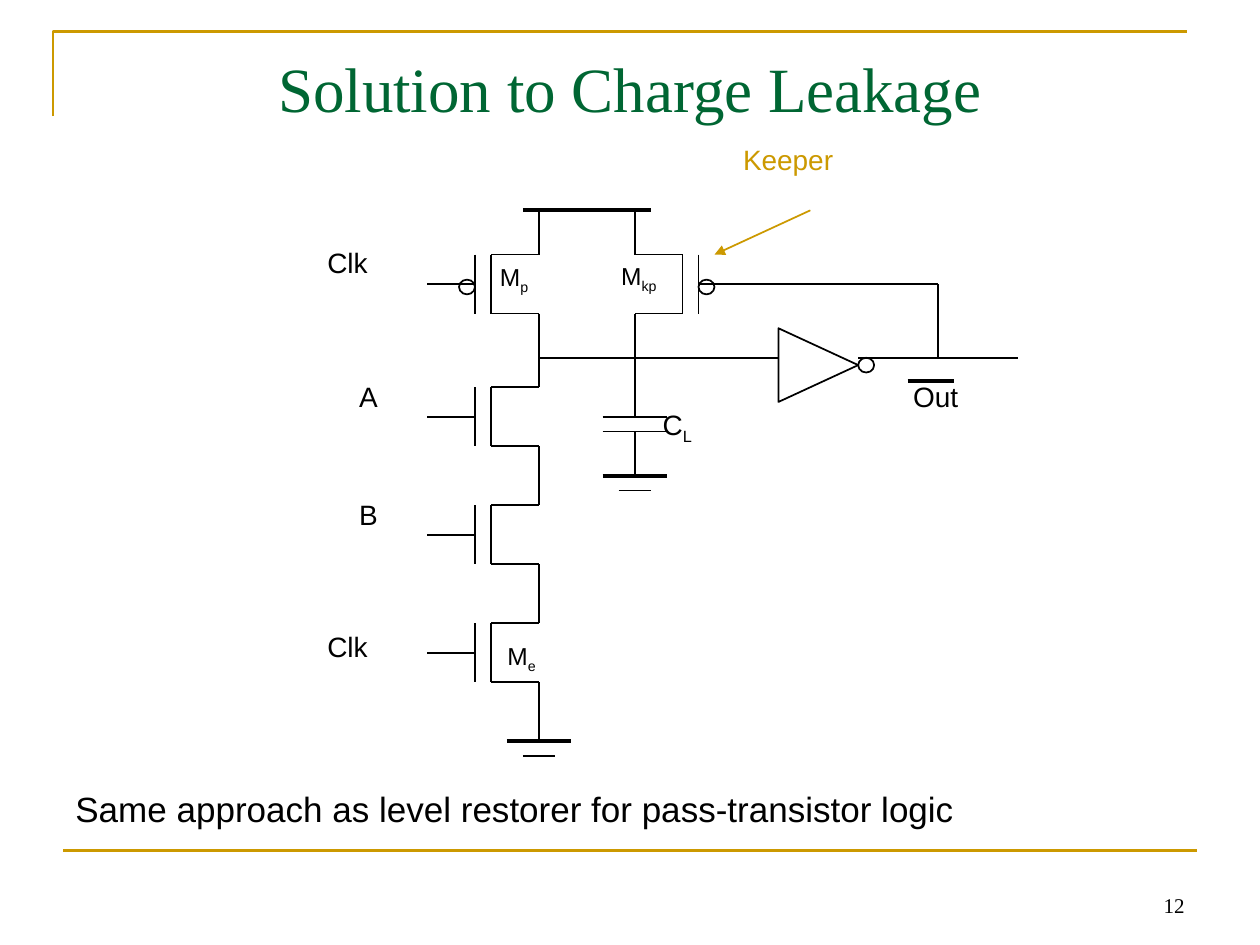
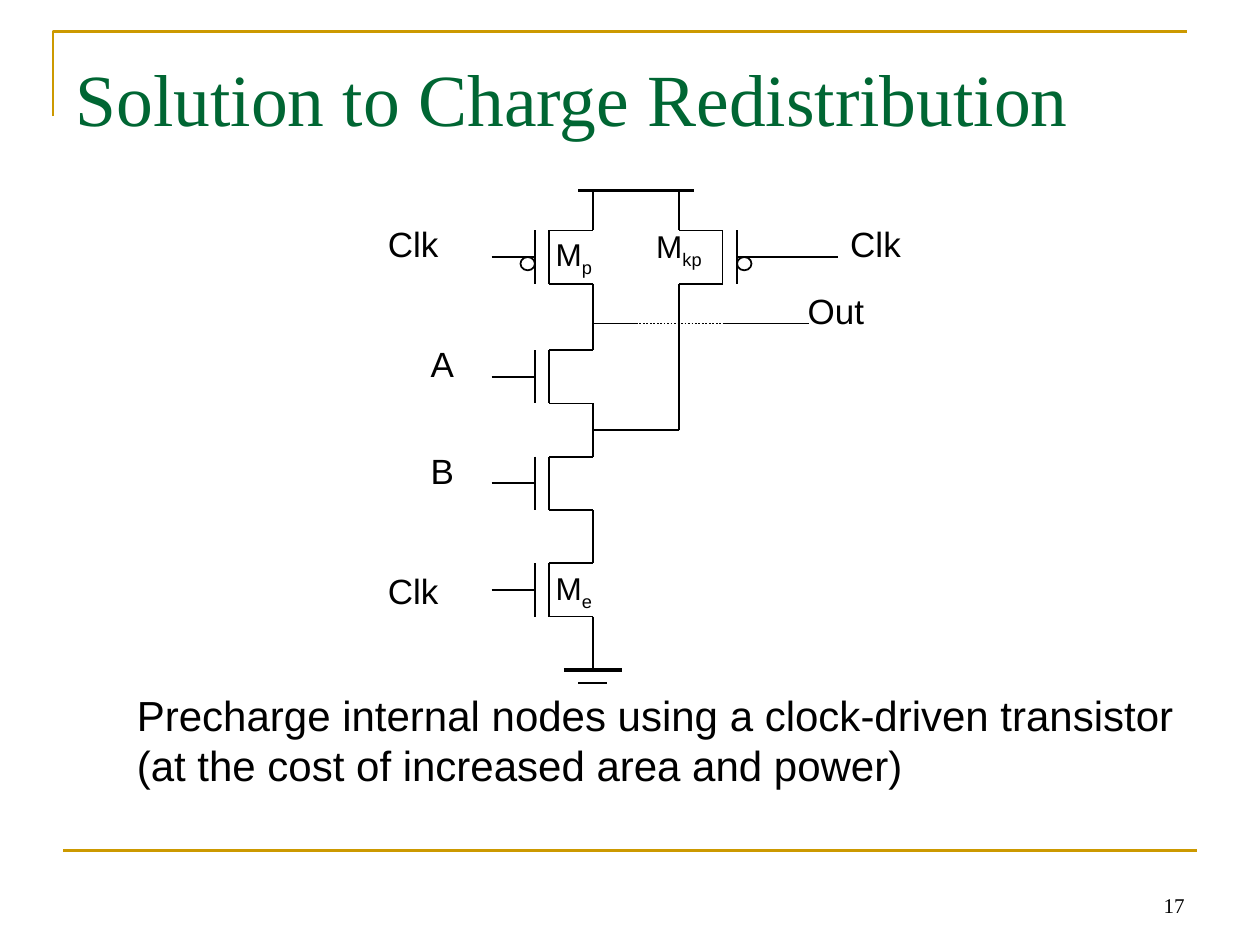
"""Two slides on keeping the charge of dynamic logic gates."""
from dataclasses import dataclass

from lxml.etree import SubElement
from pptx import Presentation
from pptx.dml.color import RGBColor
from pptx.enum.dml import MSO_LINE_DASH_STYLE as Dash
from pptx.enum.shapes import MSO_CONNECTOR as Connector, MSO_SHAPE as Shape
from pptx.enum.text import MSO_ANCHOR as Anchor, MSO_AUTO_SIZE as AutoSize, PP_ALIGN as Align
from pptx.oxml.ns import qn
from pptx.util import Cm, Pt

GOLD = RGBColor(0xCC, 0x99, 0x00)
GREEN = RGBColor(0x00, 0x66, 0x33)
BLACK = RGBColor(0x00, 0x00, 0x00)
SANS = "Arial"
SERIF = "Times New Roman"
THIN, MEDIUM, THICK = 1, 1.5, 2.25
GRID_STEPS = 37
SUBSCRIPT = "-25000"
PULL_UP_DRAIN, KEEPER_DRAIN = 7, 13
PRECHARGE_ROW = 3
PULL_DOWN_ROWS = (12, 20, 28)


def add_line(page, start, end, color=BLACK, width=THIN, dash=None, arrow=False):
    """Draw a straight line between two points given in centimetres."""
    points = [Cm(value) for value in (*start, *end)]
    line = page.shapes.add_connector(Connector.STRAIGHT, *points)
    line.line.color.rgb = color
    line.line.width = Pt(width)
    if dash:
        line.line.dash_style = dash
    if arrow:
        SubElement(line.line._get_or_add_ln(), qn("a:tailEnd"), type="triangle")
    SubElement(line._element.spPr, qn("a:effectLst"))
    return line


def outline(shape, color=BLACK, width=THIN):
    """Leave a shape unfilled, with a plain outline."""
    shape.shadow.inherit = False
    shape.fill.background()
    shape.line.color.rgb = color
    shape.line.width = Pt(width)


def add_span(para, text, size, font=SANS, color=BLACK, subscript=False):
    """Append one formatted run."""
    span = para.add_run()
    span.text = text
    span.font.size = Pt(size)
    span.font.name = font
    span.font.color.rgb = color
    if subscript:
        span.font._element.set("baseline", SUBSCRIPT)


def add_text(page, place, text, size, font=SANS, color=BLACK, sub="",
             align=Align.LEFT, anchor=Anchor.TOP):
    """Add a text box, optionally ending in a subscript."""
    box = page.shapes.add_textbox(*[Cm(value) for value in place])
    frame = box.text_frame
    frame.word_wrap = True
    frame.vertical_anchor = anchor
    para = frame.paragraphs[0]
    para.alignment = align
    add_span(para, text, size, font, color)
    if sub:
        add_span(para, sub, size, font, color, subscript=True)


def add_page(deck, title, title_height, title_size, title_align, number):
    """Add a slide with the shared frame, rule, title and page number."""
    page = deck.slides.add_slide(deck.slide_layouts[5])
    builder = page.shapes.build_freeform(Cm(1.07), Cm(2.34))
    builder.add_line_segments([(Cm(1.07), Cm(0.64)), (Cm(23.93), Cm(0.64))], close=False)
    outline(builder.convert_to_shape(), GOLD, MEDIUM)
    add_line(page, (1.27, 17.15), (24.13, 17.15), GOLD, MEDIUM)

    heading = page.shapes.title
    heading.left, heading.top = Cm(1.27), Cm(0.76)
    heading.width, heading.height = Cm(22.86), Cm(title_height)
    heading.text_frame.auto_size = AutoSize.NONE
    heading.text_frame.vertical_anchor = Anchor.MIDDLE
    para = heading.text_frame.paragraphs[0]
    para.alignment = title_align
    add_span(para, title, title_size, SERIF, GREEN)

    add_text(page, (18.21, 17.35, 5.92, 1.27), number, 12, SERIF,
             align=Align.RIGHT, anchor=Anchor.BOTTOM)
    return page


@dataclass
class Circuit:
    """A schematic drawn on a square grid of columns and rows."""
    page: object
    left: float
    top: float
    width: float
    height: float
    bubble_row: float

    def at(self, column, row):
        """Turn a grid position into centimetres."""
        return (self.left + column * self.width / GRID_STEPS,
                self.top + row * self.height / GRID_STEPS)

    def wire(self, *stops, **style):
        """Join successive grid positions with lines."""
        for start, end in zip(stops, stops[1:]):
            add_line(self.page, self.at(*start), self.at(*end), **style)

    def bubble(self, column, row):
        """Draw an inversion circle one grid cell large."""
        cell = (self.width / GRID_STEPS, self.height / GRID_STEPS)
        place = [Cm(value) for value in (*self.at(column, row), *cell)]
        outline(self.page.shapes.add_shape(Shape.OVAL, *place))

    def transistor(self, drain, row, facing=1):
        """Draw a transistor whose gate lies left (1) or right (-1) of its drain."""
        channel, gate, lead = (drain - facing * step for step in (3, 4, 7))
        self.wire((drain, row - 3), (drain, row), (channel, row),
                  (channel, row + 4), (drain, row + 4), (drain, row + 7))
        self.wire((gate, row), (gate, row + 4))
        self.wire((lead, row + 2), (gate, row + 2))

    def ground(self, column, row):
        """Draw a ground symbol with its stem."""
        self.wire((column, row - 3), (column, row))
        self.wire((column - 2, row), (column + 2, row), width=THICK)
        self.wire((column - 1, row + 1), (column + 1, row + 1))

    def capacitor(self, column, row):
        """Draw a grounded capacitor hanging from the output node."""
        self.wire((column, row - 4), (column, row))
        for plate in (row, row + 1):
            self.wire((column - 2, plate), (column + 2, plate))
        self.ground(column, row + 4)

    def inverter(self, column, row):
        """Draw an inverter five columns and five rows large."""
        left, top = self.at(column, row)
        right, bottom = self.at(column + 5, row + 5)
        length, span = right - left, bottom - top
        triangle = self.page.shapes.add_shape(
            Shape.ISOSCELES_TRIANGLE, Cm((left + right - span) / 2),
            Cm((top + bottom - length) / 2), Cm(span), Cm(length))
        triangle.rotation = 90
        outline(triangle)
        self.bubble(column + 5, row + 2)

    def dynamic_gate(self):
        """Draw the supply rail, both pull-ups, the pull-down chain and its ground."""
        self.wire((6, 0), (14, 0), width=THICK)
        self.transistor(PULL_UP_DRAIN, PRECHARGE_ROW)
        self.transistor(KEEPER_DRAIN, PRECHARGE_ROW, facing=-1)
        for gate_column in (2, 17):
            self.bubble(gate_column, self.bubble_row)
        for row in PULL_DOWN_ROWS:
            self.transistor(PULL_UP_DRAIN, row)
        self.ground(PULL_UP_DRAIN, 36)


def add_labels(page, labels, size, device_size):
    """Label signals in one size and subscripted devices in a smaller one."""
    for left, top, text, sub in labels:
        text_size = device_size if text == "M" else size
        add_text(page, (left, top, 2.2, 1.3), text, text_size, sub=sub)


def build_leakage(deck):
    """Show the keeper driven by the inverted output."""
    page = add_page(deck, "Solution to Charge Leakage", 1.98, 36, Align.CENTER, "12")
    circuit = Circuit(page, 8.61, 4.24, 11.91, 11, bubble_row=4.7)
    circuit.dynamic_gate()
    circuit.wire((7, 10), (22, 10))
    circuit.inverter(22, 8)
    circuit.wire((27, 10), (37, 10))
    circuit.wire((19, 5), (32, 5), (32, 10))
    circuit.capacitor(KEEPER_DRAIN, 14)
    circuit.wire((24, 0), (18, 3), color=GOLD, arrow=True)
    circuit.wire((30.1, 11.6), (33, 11.6), width=THICK)
    add_labels(page, [
        (6.35, 4.83, "Clk", ""),
        (6.99, 7.52, "A", ""),
        (6.99, 9.91, "B", ""),
        (6.35, 12.57, "Clk", ""),
        (18.16, 7.52, "Out", ""),
        (13.11, 8.1, "C", "L"),
        (9.83, 5.16, "M", "p"),
        (12.27, 5.13, "M", "kp"),
        (9.98, 12.8, "M", "e"),
    ], 16, 14)
    add_text(page, (14.73, 2.74, 3.58, 1.32), "Keeper", 16, color=GOLD)
    add_text(page, (1.27, 15.75, 22.15, 1.12),
             "Same approach as level restorer for pass-transistor logic", 20)


def build_redistribution(deck):
    """Show the clocked transistor that precharges an internal node."""
    page = add_page(deck, "Solution to Charge Redistribution", 2.41, 42, Align.LEFT, "17")
    circuit = Circuit(page, 9.91, 3.84, 10.77, 9.93, bubble_row=5)
    circuit.dynamic_gate()
    circuit.wire((19, 5), (24, 5))
    circuit.wire((7, 10), (10, 10))
    circuit.wire((10, 10), (16, 10), dash=Dash.ROUND_DOT)
    circuit.wire((16, 10), (22, 10))
    circuit.wire((13, 9), (13, 18), (7, 18))
    add_labels(page, [
        (7.57, 4.37, "Clk", ""),
        (16.89, 4.37, "Clk", ""),
        (16.03, 5.72, "Out", ""),
        (8.43, 6.78, "A", ""),
        (8.43, 8.94, "B", ""),
        (7.57, 11.35, "Clk", ""),
        (10.95, 4.62, "M", "p"),
        (12.98, 4.45, "M", "kp"),
        (10.95, 11.35, "M", "e"),
    ], 20, 18)
    add_text(page, (2.51, 13.77, 21.56, 2.31),
             "Precharge internal nodes using a clock-driven transistor "
             "(at the cost of increased area and power)", 24)


def main():
    """Build and save the deck."""
    deck = Presentation()
    deck.slide_width, deck.slide_height = Cm(25.4), Cm(19.05)
    build_leakage(deck)
    build_redistribution(deck)
    deck.save("out.pptx")


if __name__ == "__main__":
    main()
